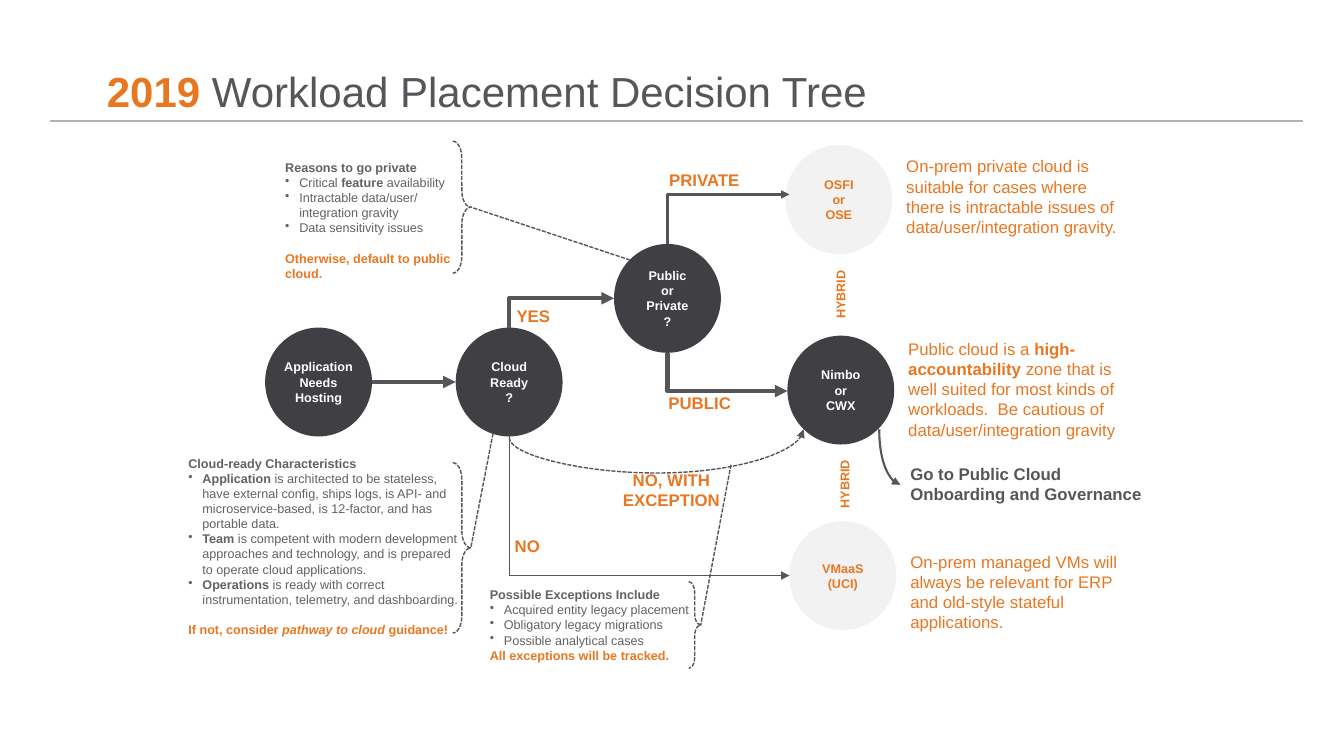
from dataclasses import dataclass

from pptx import Presentation
from pptx.dml.color import RGBColor
from pptx.enum.dml import MSO_LINE as Dash
from pptx.enum.shapes import MSO_CONNECTOR as Link, MSO_SHAPE as Shape
from pptx.enum.text import MSO_ANCHOR as Anchor, PP_ALIGN as Align
from pptx.oxml.ns import qn
from pptx.oxml.xmlchemy import OxmlElement as make_element
from pptx.util import Inches, Pt

ORANGE, SLATE, GREY = "E87722", "55565A", "626262"
CHARCOAL, PALE, WHITE, RULE = "404044", "F2F2F2", "FFFFFF", "B1B3B3"
CIRCLE = (10.6, 10.8)
BOLD, PLAIN = {"bold": True}, {"bold": False}
ACCENT = {"bold": True, "color": ORANGE}


@dataclass
class Para:
    """A paragraph: spans of (text, format), with an optional bullet and gap."""
    spans: list
    bullet: bool = False
    gap: float = 0


def cells(count):
    """Length of a number of grid columns or rows, ten to the inch."""
    return Inches(count / 10)


def color(value):
    """Colour from a hex string."""
    return RGBColor.from_string(value)


def apply(target, values):
    """Set every attribute named in values."""
    for name, value in values.items():
        setattr(target, name, value)


def child(parent, tag, **attributes):
    """Append an XML element with attributes."""
    element = make_element(tag)
    for name, value in attributes.items():
        element.set(name, value)
    parent.append(element)


def add_bullet(para):
    """Give a paragraph a hanging round bullet."""
    properties = para._p.get_or_add_pPr()
    indent = Inches(0.14)
    properties.set("marL", str(indent))
    properties.set("indent", str(-indent))
    child(properties, "a:buChar", char="•")


def write(frame, paras, size, ink, bold=False, align=Align.LEFT, spacing=None):
    """Fill a text frame with paragraphs."""
    for index, item in enumerate(paras):
        para = frame.paragraphs[0] if index == 0 else frame.add_paragraph()
        if item.bullet:
            add_bullet(para)
        apply(para, {"alignment": align, "line_spacing": spacing or Pt(size * 1.2)})
        if item.gap:
            para.space_before = Pt(item.gap)
        for text, changes in item.spans:
            span = para.add_run()
            span.text = text
            style = {"name": "Arial", "size": Pt(size), "bold": bold, **changes}
            span.font.color.rgb = color(style.pop("color", ink))
            apply(span.font, style)


def lines(*texts):
    """Plain paragraphs, one for each text."""
    return [Para([(text, {})]) for text in texts]


def bullet(*spans):
    """A bulleted paragraph in regular weight."""
    return Para([(text, {**PLAIN, **changes}) for text, changes in spans], bullet=True)


def add_text(page, area, paras, size=12, ink=ORANGE, anchor=Anchor.TOP, turn=0, **style):
    """Place a wrapping text box on the grid."""
    box = page.shapes.add_textbox(*map(cells, area))
    box.rotation = turn
    apply(box.text_frame, {"word_wrap": True, "vertical_anchor": anchor})
    write(box.text_frame, paras, size, ink, **style)
    return box


def add_label(page, area, *texts, **style):
    """Place a bold centred branch label."""
    add_text(page, area, lines(*texts), bold=True, align=Align.CENTER, **style)


def add_notes(page, area, paras):
    """Place a list of small grey notes."""
    add_text(page, area, paras, size=9, ink=GREY, anchor=Anchor.MIDDLE)


def add_node(page, left, top, fill, ink, *texts):
    """Place a round step of the tree."""
    node = page.shapes.add_shape(Shape.OVAL, *map(cells, (left, top, *CIRCLE)))
    node.shadow.inherit = False
    node.fill.solid()
    node.fill.fore_color.rgb = color(fill)
    node.line.fill.background()
    apply(node.text_frame, {"word_wrap": False, "vertical_anchor": Anchor.MIDDLE})
    write(node.text_frame, lines(*texts), 9, ink, bold=True, align=Align.CENTER)


def draw_line(line, width, dashed, ink=SLATE):
    """Set the colour, width and dash of a line."""
    line.color.rgb = color(ink)
    line.width = Pt(width)
    if dashed:
        line.dash_style = Dash.SQUARE_DOT


def add_brace(page, area):
    """Place a dashed brace that points right."""
    brace = page.shapes.add_shape(Shape.LEFT_BRACE, *map(cells, area))
    brace.shadow.inherit = False
    brace.fill.background()
    brace.rotation = 180
    brace.adjustments[0] = 0.91
    draw_line(brace.line, 1, True)


def add_link(page, start, end, kind=Link.STRAIGHT, width=1, dashed=False, arrow=False, ink=SLATE):
    """Join two grid points with a connector."""
    link = page.shapes.add_connector(kind, *map(cells, (*start, *end)))
    draw_line(link.line, width, dashed, ink)
    if arrow:
        child(link.line._get_or_add_ln(), "a:tailEnd", type="triangle")
    child(link.element.spPr, "a:effectLst")
    return link


def add_turn(page, start, end, kind=Link.ELBOW, preset="bentConnector2", bend=None, **style):
    """Join two grid points with an arrow that leaves vertically and heads right."""
    (x1, y1), (x2, y2) = start, end
    middle_x, middle_y = (x1 + x2) / 2, (y1 + y2) / 2
    half_width, half_height = abs(y2 - y1) / 2, (x2 - x1) / 2
    rise = 1 if y2 < y1 else -1
    link = add_link(page, (middle_x + half_width, middle_y + rise * half_height),
                    (middle_x - half_width, middle_y - rise * half_height),
                    kind, arrow=True, **style)
    properties = link.element.spPr
    properties.find(qn("a:xfrm")).set("rot", str((90 if rise > 0 else 270) * 60000))
    geometry = properties.find(qn("a:prstGeom"))
    geometry.set("prst", preset)
    if bend is not None:
        child(geometry.find(qn("a:avLst")), "a:gd", name="adj1", fmla=f"val {round(bend * 100000)}")


def add_title(page):
    """Place the title and the rule under it."""
    add_link(page, (5, 12), (129.2, 12), ink=RULE)
    title = add_text(page, (10.6, 6.8, 103.9, 4.8),
                     [Para([("2019", ACCENT), (" Workload Placement Decision Tree", {})])],
                     size=30, ink=SLATE, anchor=Anchor.BOTTOM, spacing=0.9)
    apply(title.text_frame, dict.fromkeys(
        ("margin_left", "margin_right", "margin_top", "margin_bottom"), 0))


def add_tree(page):
    """Place the steps, arrows and branch labels."""
    add_node(page, 26.3, 32.5, CHARCOAL, WHITE, "Application", "Needs", "Hosting")
    add_node(page, 45.2, 32.5, CHARCOAL, WHITE, "Cloud", "Ready", "?")
    add_node(page, 60.9, 24.2, CHARCOAL, WHITE, "Public", "or", "Private", "?")
    add_node(page, 77.9, 14.4, PALE, ORANGE, "OSFI", "or", "OSE")
    add_node(page, 78.1, 33.3, CHARCOAL, WHITE, "Nimbo", "or", "CWX")
    add_node(page, 78.3, 51.7, PALE, ORANGE, "VMaaS", "(UCI)")
    add_link(page, (36.9, 37.9), (45.2, 37.9), width=3, arrow=True)
    add_turn(page, (50.5, 32.5), (60.9, 29.6), width=3)
    add_turn(page, (50.5, 43.3), (78.3, 57.1))
    add_turn(page, (66.2, 24.2), (78.3, 19.3), width=1.5)
    add_turn(page, (66.2, 35), (78.1, 38.8), width=3)
    add_turn(page, (87.2, 42.6), (89.3, 48.1), Link.CURVE, "curvedConnector2", width=1.5)
    add_turn(page, (50.5, 43.4), (79.7, 42.6), Link.CURVE, "curvedConnector3", bend=-4.42, dashed=True)
    add_label(page, (49.9, 29.8, 6, 3), "YES")
    add_label(page, (49.3, 52.7, 6, 3), "NO")
    add_label(page, (64.9, 16.3, 9.9, 3), "PRIVATE")
    add_label(page, (64.9, 38.5, 9, 3), "PUBLIC")
    add_label(page, (56.1, 46.1, 21, 5), "NO, WITH", "EXCEPTION")
    for left, top in ((78.4, 28), (78.8, 46.8)):
        add_label(page, (left, top, 9.9, 2.5), "HYBRID", size=9, turn=270)


def add_criteria(page):
    """Place the braced notes and their dashed leaders."""
    add_notes(page, (27.3, 15.3, 19.8, 13.1), [
        Para([("Reasons to go private", BOLD)]),
        bullet(("Critical ", {}), ("feature", BOLD), (" availability", {})),
        bullet(("Intractable data/user/ integration gravity", {})),
        bullet(("Data sensitivity issues", {})),
        Para([("Otherwise, default to public cloud.", ACCENT)], gap=10.8)])
    add_notes(page, (17.7, 44.6, 29.4, 19.2), [
        Para([("Cloud-ready Characteristics", BOLD)]),
        bullet(("Application", BOLD), (" is architected to be stateless, have external config, ships logs, "
               "is API- and microservice-based, is 12-factor, and has portable data.", {})),
        bullet(("Team", BOLD), (" is competent with modern development approaches and technology, "
               "and is prepared to operate cloud applications.", {})),
        bullet(("Operations", BOLD), (" is ready with correct instrumentation, telemetry, "
               "and dashboarding.", {})),
        Para([("If not, consider ", ACCENT), ("pathway to cloud ", {**ACCENT, "italic": True}),
              ("guidance!", ACCENT)], gap=10.8)])
    add_notes(page, (47.6, 57.7, 23, 8.6), [
        Para([("Possible Exceptions Include", BOLD)]),
        bullet(("Acquired entity legacy placement", {})),
        bullet(("Obligatory legacy migrations", {})),
        bullet(("Possible analytical cases", {})),
        Para([("All exceptions will be tracked.", ACCENT)])])
    for area, start in (((44.9, 14, 1.8, 13.1), (62.5, 25.8)),
                        ((44.9, 45.9, 1.8, 16.9), (48.9, 43)),
                        ((68.3, 57.7, 1.2, 8.6), (72.5, 46.1))):
        left, top, width, height = area
        add_brace(page, area)
        add_link(page, start, (left + width, top + height / 2), dashed=True)


def add_outcomes(page):
    """Place the advice beside each end of the tree."""
    add_text(page, (88.9, 15, 23.4, 9.1), lines(
        "On-prem private cloud is suitable for cases where there is intractable issues of "
        "data/user/integration gravity."))
    add_text(page, (89.1, 33.1, 23.4, 11.1), [Para([
        ("Public cloud is a ", {}), ("high-accountability", BOLD),
        (" zone that is well suited for most kinds of workloads.  Be cautious of "
         "data/user/integration gravity", {})])])
    add_text(page, (89.3, 45.5, 25.6, 5), lines("Go to Public Cloud Onboarding and Governance"),
             ink=SLATE, bold=True)
    add_text(page, (89.3, 54.2, 23.4, 9.1), lines(
        "On-prem managed VMs will always be relevant for ERP and old-style stateful applications."))


def main():
    """Build and save the decision tree slide."""
    deck = Presentation()
    apply(deck, {"slide_width": cells(133.3), "slide_height": cells(75)})
    page = deck.slides.add_slide(deck.slide_layouts[6])
    for build in (add_title, add_tree, add_criteria, add_outcomes):
        build(page)
    deck.save("out.pptx")


if __name__ == "__main__":
    main()
